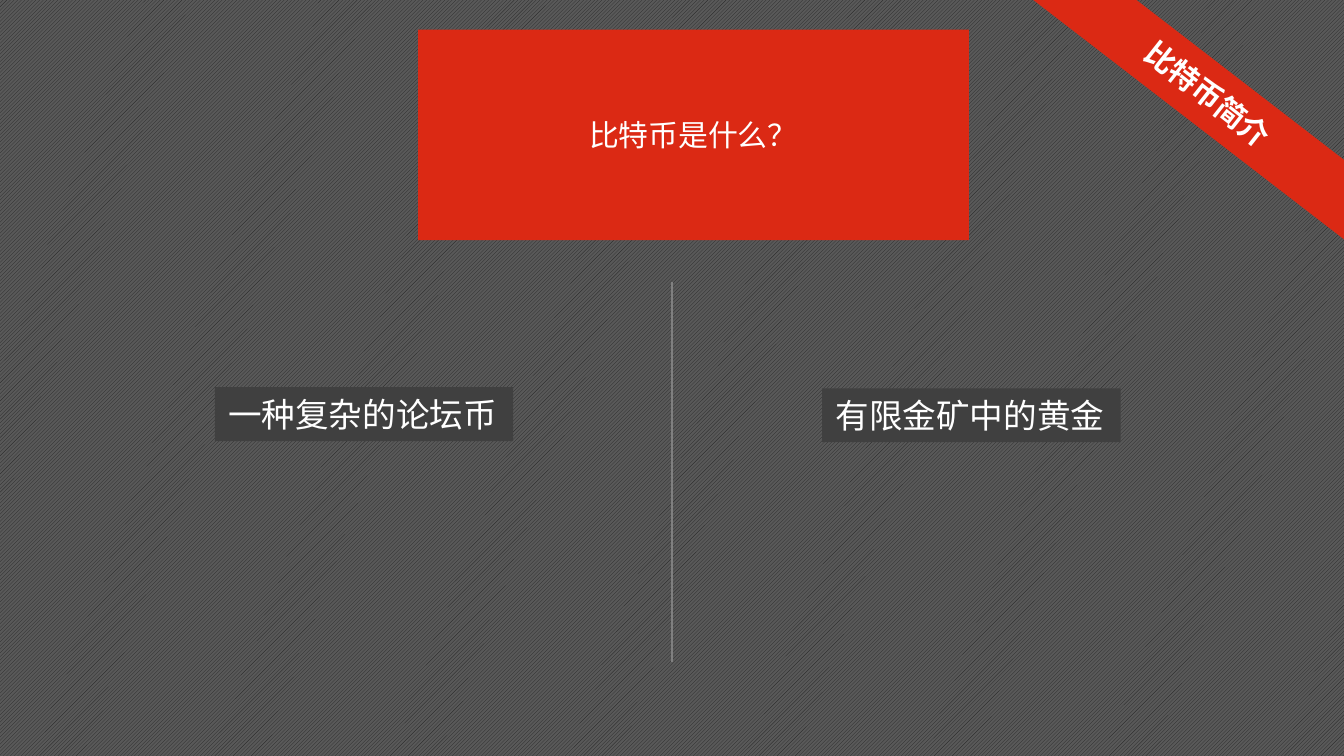
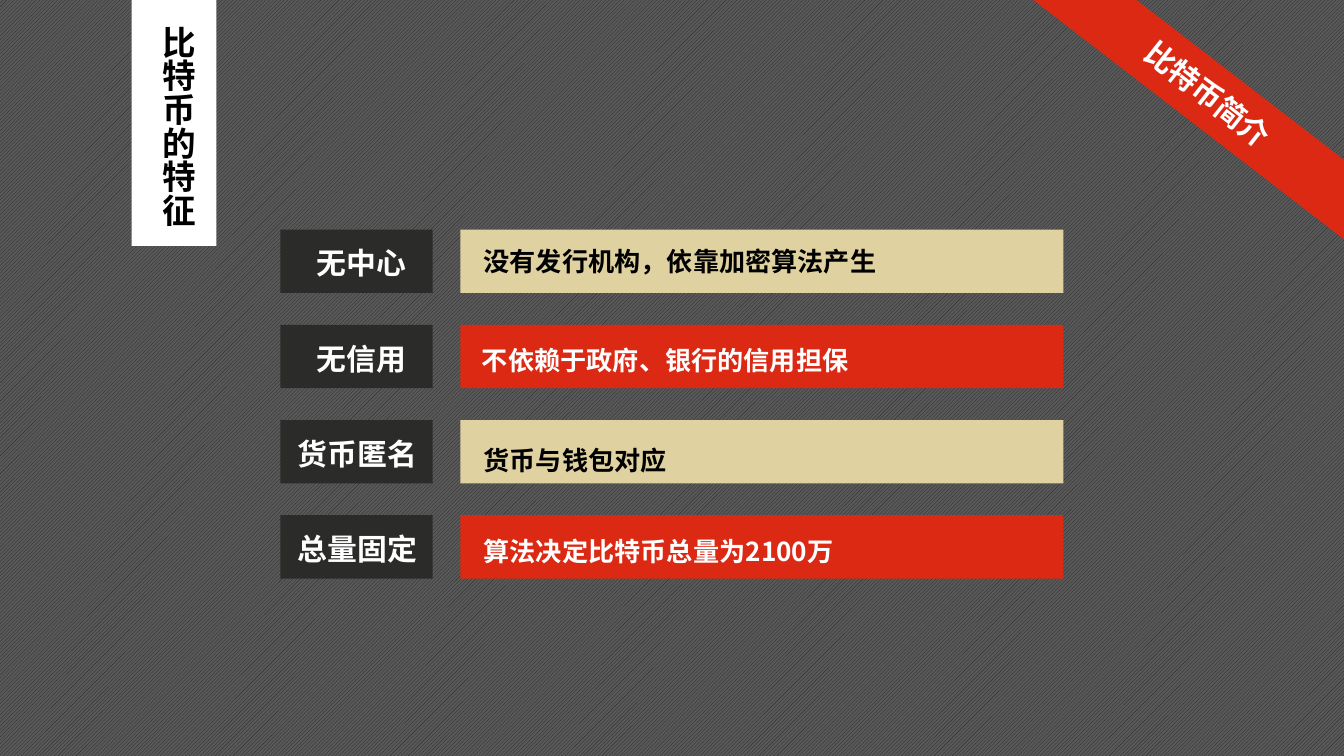
"""Builds two slides that introduce bitcoin and its features."""
from dataclasses import dataclass

from lxml.etree import SubElement
from pptx import Presentation
from pptx.dml.color import RGBColor as Rgb
from pptx.enum.dml import MSO_PATTERN as Pattern
from pptx.enum.shapes import MSO_CONNECTOR as Connector, MSO_SHAPE as Shape
from pptx.enum.text import MSO_ANCHOR as Anchor, MSO_AUTO_SIZE as AutoSize, PP_ALIGN as Align
from pptx.oxml.ns import qn
from pptx.util import Cm, Pt


@dataclass(frozen=True)
class Theme:
    font: str = "Noto Sans CJK SC"
    red: str = "DB2914"
    sand: str = "DFD2A0"
    white: str = "FFFFFF"
    black: str = "000000"
    stripe: str = "262626"
    ground: str = "595959"
    plate: str = "404040"
    label: str = "2B2B29"
    rule: str = "808080"
    large: int = 18
    medium: int = 16
    small: int = 14


THEME = Theme()

SECTION = "比特币简介"
QUESTION = "比特币是什么？"
ANSWERS = [("一种复杂的论坛币", 4.06, 7.32), ("有限金矿中的黄金", 15.54, 7.34)]
FEATURES_TITLE = "比特币的特征"
FEATURES = [
    {"label": "无中心", "align": Align.CENTER, "detail": "没有发行机构，依靠加密算法产生",
     "left": 8.89, "drop": 0.18, "width": 11},
    {"label": "无信用", "align": Align.CENTER, "detail": "不依赖于政府、银行的信用担保",
     "left": 8.86, "drop": 0.25, "width": 11.23},
    {"label": "货币匿名", "align": Align.LEFT, "detail": "货币与钱包对应",
     "left": 8.89, "drop": 0.34, "width": 8.8},
    {"label": "总量固定", "align": Align.LEFT, "detail": "算法决定比特币总量为2100万",
     "left": 8.89, "drop": 0.25, "width": 11.4},
]
FIRST_ROW, ROW_PITCH, ROW_HEIGHT = 4.34, 1.8, 1.2
SHADE_CURVE = [(18.03, 3.33), (13.84, 2.79), (13.89, 2.59), (8.23, 3.33)]
SHADE_TOP, SHADE_STEPS = 2.57, 24


def place(shape, left, top, width, height):
    shape.left, shape.top, shape.width, shape.height = map(Cm, (left, top, width, height))


def set_pattern(fill, pattern, front, back):
    fill.patterned()
    fill.pattern = pattern
    fill.fore_color.rgb = Rgb.from_string(front)
    fill.back_color.rgb = Rgb.from_string(back)


def paint(shape, color):
    shape.fill.solid()
    shape.fill.fore_color.rgb = Rgb.from_string(color)


def add_block(shapes, area, color):
    block = shapes.add_shape(Shape.RECTANGLE, *map(Cm, area))
    paint(block, color)
    block.line.fill.background()
    block.shadow.inherit = False
    return block


def write(shape, text, size=THEME.medium, color=THEME.white, bold=False,
          align=Align.LEFT, anchor=Anchor.TOP, wrap=True, vertical=False):
    frame = shape.text_frame
    frame.word_wrap = wrap
    frame.auto_size = AutoSize.SHAPE_TO_FIT_TEXT
    frame.vertical_anchor = anchor
    if vertical:
        shape.element.txBody.bodyPr.set("vert", "eaVert")
    para = frame.paragraphs[0]
    para.alignment = align
    span = para.add_run()
    span.text = text
    span.font.size = Pt(size)
    span.font.bold = bold
    span.font.color.rgb = Rgb.from_string(color)
    span.font.name = THEME.font
    SubElement(span.font._element, qn("a:ea"), typeface=THEME.font)


def add_text(shapes, area, text, **style):
    box = shapes.add_textbox(*map(Cm, area))
    write(box, text, **style)
    return box


def bezier(points, share):
    while len(points) > 1:
        points = [tuple(a + (b - a) * share for a, b in zip(start, end))
                  for start, end in zip(points, points[1:])]
    return points[0]


def add_shade(page):
    right, left = SHADE_CURVE[0][0], SHADE_CURVE[-1][0]
    curve = [bezier(SHADE_CURVE, step / SHADE_STEPS) for step in range(SHADE_STEPS + 1)]
    builder = page.shapes.build_freeform(Cm(left), Cm(SHADE_TOP))
    builder.add_line_segments([(Cm(x), Cm(y)) for x, y in [(right, SHADE_TOP)] + curve])
    shade = builder.convert_to_shape()
    set_pattern(shade.fill, Pattern.PERCENT_75, THEME.stripe, THEME.white)
    shade.line.fill.background()
    shade.shadow.inherit = False
    return shade


def add_ribbon(page):
    ribbon = add_block(page.shapes, (15.44, 0.81, 13.77, 1.19), THEME.red)
    ribbon.rotation = 37.6
    caption = add_text(page.shapes, (20.83, 2.29, 6.48, 0.94), SECTION, bold=True)
    caption.rotation = 38.3


def build_question(page):
    title = page.shapes.title
    title.element.addprevious(add_shade(page).element)
    place(title, 7.9, 2.08, 10.41, 0.94)
    paint(title, THEME.red)
    write(title, QUESTION, align=Align.CENTER, anchor=Anchor.MIDDLE)
    divider = page.shapes.add_connector(
        Connector.STRAIGHT, Cm(12.7), Cm(5.33), Cm(12.7), Cm(12.52))
    divider.line.color.rgb = Rgb.from_string(THEME.rule)
    divider.line.width = Pt(0.75)
    SubElement(divider.element.spPr, qn("a:effectLst"))
    for text, left, top in ANSWERS:
        plate = add_block(page.shapes, (left, top, 5.64, 1.02), THEME.plate)
        write(plate, text, size=THEME.large, wrap=False)


def build_features(page):
    for index, row in enumerate(FEATURES):
        top = FIRST_ROW + index * ROW_PITCH
        fill, ink = [(THEME.sand, THEME.black), (THEME.red, THEME.white)][index % 2]
        add_block(page.shapes, (8.7, top, 11.4, ROW_HEIGHT), fill)
        group = page.shapes.add_group_shape()
        add_block(group.shapes, (5.3, top, 2.88, ROW_HEIGHT), THEME.label)
        add_text(group.shapes, (5.38, top + 0.17, 2.9, 0.94), row["label"],
                 bold=True, align=row["align"])
        add_text(page.shapes, (row["left"], top + row["drop"], row["width"], 0.86),
                 row["detail"], size=THEME.small, color=ink, bold=True)
    title = page.shapes.title
    band = add_block(page.shapes, (2.49, 0, 1.6, 4.65), THEME.white)
    title.element.addprevious(band.element)
    place(title, 2.74, 0.36, 1.27, 4.55)
    write(title, FEATURES_TITLE, size=THEME.large, color=THEME.black, bold=True, vertical=True)


def main():
    deck = Presentation()
    deck.slide_width, deck.slide_height = Cm(25.4), Cm(14.29)
    set_pattern(deck.slide_master.background.fill, Pattern.DARK_UPWARD_DIAGONAL,
                THEME.stripe, THEME.ground)
    title_only = deck.slide_layouts.get_by_name("Title Only")
    for build in (build_question, build_features):
        page = deck.slides.add_slide(title_only)
        build(page)
        add_ribbon(page)
    deck.save("out.pptx")


main()
